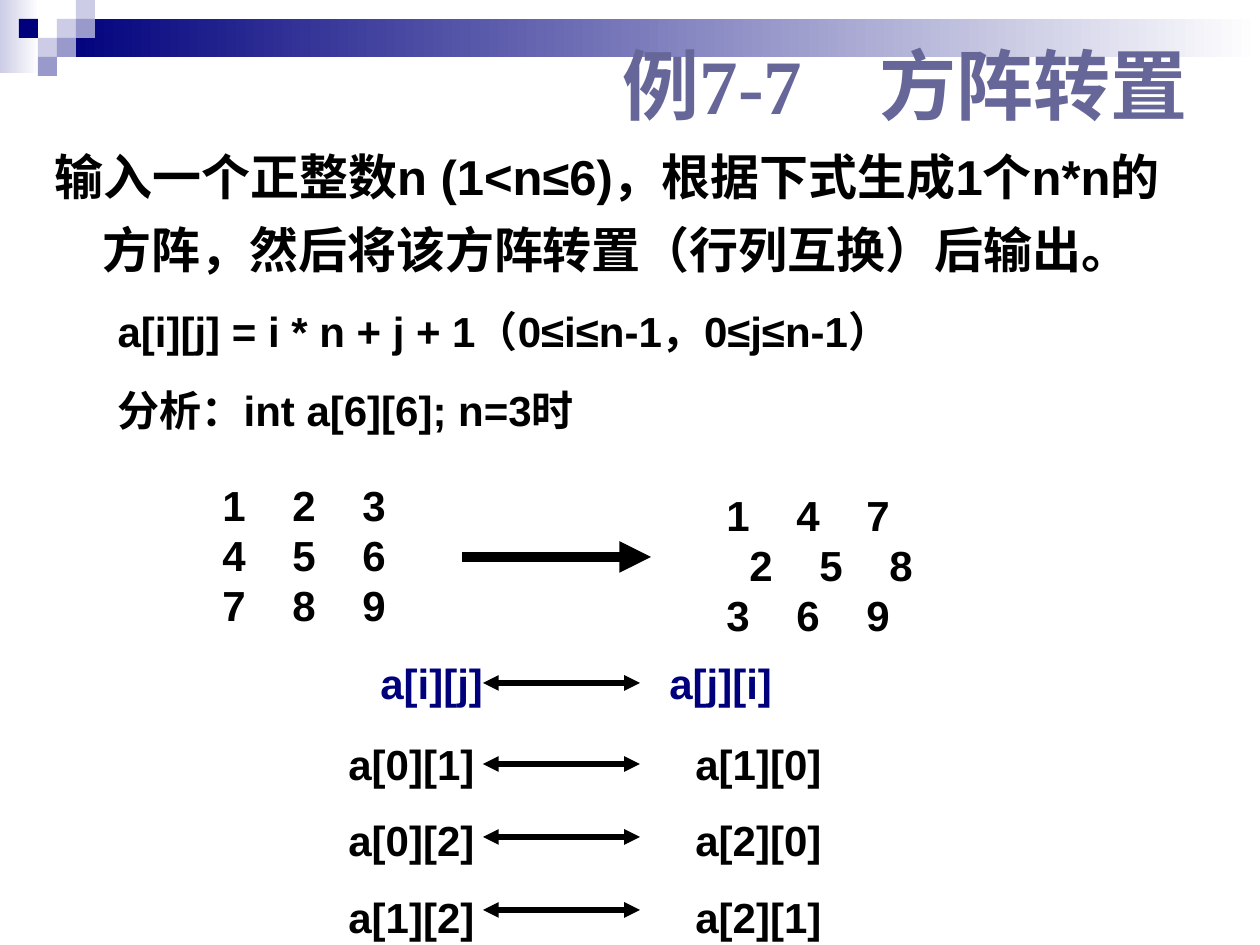
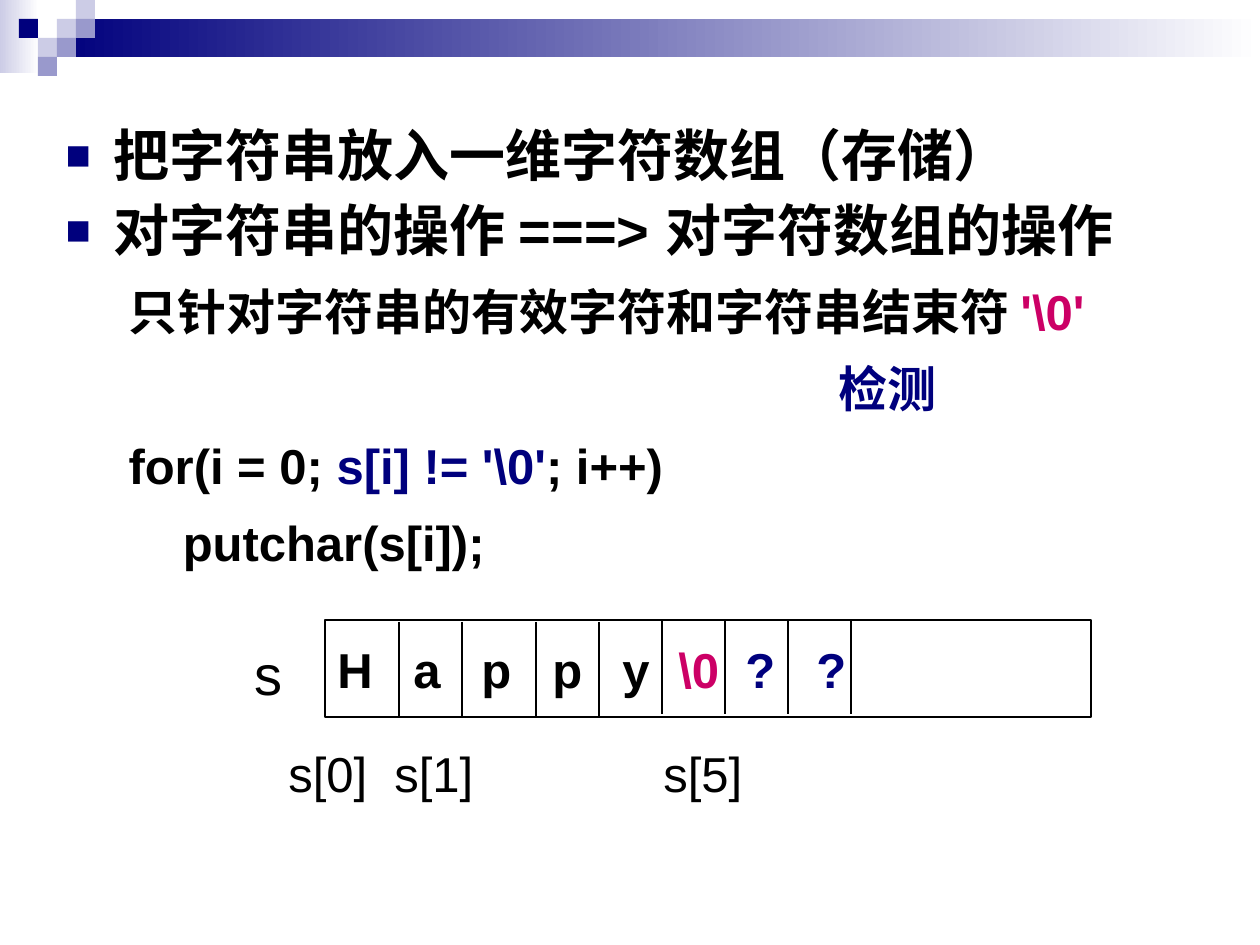
import pptx
import pptx.dml.color
import pptx.enum.shapes
import pptx.enum.text
import pptx.oxml
import pptx.oxml.ns
import pptx.util

RGBColor = pptx.dml.color.RGBColor
BLACK = RGBColor(0x00, 0x00, 0x00)
WHITE = RGBColor(0xFF, 0xFF, 0xFF)
NAVY = RGBColor(0x00, 0x00, 0x7D)
LAVENDER = RGBColor(0x99, 0x99, 0xCC)
PALE = RGBColor(0xCC, 0xCC, 0xE6)
SLATE = RGBColor(0x66, 0x66, 0x99)
MAGENTA = RGBColor(0xCC, 0x00, 0x66)

PX_PER_INCH = 126
SQUARE = 19
RECTANGLE = pptx.enum.shapes.MSO_SHAPE.RECTANGLE
LEVELS = [(48, -48), (102, -39)]


def px(length):
    return pptx.util.Emu(round(length * 914400 / PX_PER_INCH))


def place(shape, left, top, width, height):
    shape.left, shape.top = px(left), px(top)
    shape.width, shape.height = px(width), px(height)


def add_xml(parent, tag, **attributes):
    child = pptx.oxml.parse_xml(f"<a:{tag} {pptx.oxml.ns.nsdecls('a')}/>")
    for name, value in attributes.items():
        child.set(name, str(value))
    parent.append(child)
    return child


def add_rectangle(slide, left, top, width, height):
    rectangle = slide.shapes.add_shape(
        RECTANGLE, px(left), px(top), px(width), px(height))
    rectangle.shadow.inherit = False
    return rectangle


def add_band(slide, left, top, width, height, colour):
    """Add a bar that fades from colour on its left to white."""
    band = add_rectangle(slide, left, top, width, height)
    band.line.fill.background()
    band.fill.gradient()
    band.fill.gradient_angle = 0
    for stop, shade in zip(band.fill.gradient_stops, (colour, WHITE)):
        stop.color.rgb = shade
    return band


def add_square(slide, column, row, colour):
    square = add_rectangle(slide, column * SQUARE, row * SQUARE, SQUARE, SQUARE)
    square.fill.solid()
    square.fill.fore_color.rgb = colour
    square.line.fill.background()
    return square


def decorate_layout(layout, slide):
    """Draw the header on slide and move it behind the layout's placeholders."""
    header = [add_band(slide, 0, 0, 39, 73, PALE),
              add_band(slide, 57, 19, 1203, 38, NAVY)]
    squares = [(3, 1, PALE), (4, 0, PALE), (4, 1, LAVENDER), (2, 2, PALE),
               (1, 1, NAVY), (3, 2, LAVENDER), (2, 3, LAVENDER)]
    # The square at column 4 sits on the band's start, so squares come last.
    header += [add_square(slide, *square) for square in squares]
    for order, part in enumerate(header):
        part.element.xpath(".//p:cNvPr")[0].set("id", str(100 + order))
        layout.shapes.element.insert(2 + order, part.element)


def set_tabs(paragraph, stops):
    tab_list = add_xml(paragraph._p.get_or_add_pPr(), "tabLst")
    for stop in stops:
        add_xml(tab_list, "tab", pos=px(stop), algn="l")


def set_bullet(paragraph, colour=None):
    """Give a square bullet of that colour, or none."""
    properties = paragraph._p.get_or_add_pPr()
    if colour is None:
        add_xml(properties, "buNone")
        return
    add_xml(add_xml(properties, "buClr"), "srgbClr", val=colour)
    add_xml(properties, "buSzPct", val=75000)
    add_xml(properties, "buFont", typeface="Arial")
    add_xml(properties, "buChar", char="■")


def set_indent(paragraph, margin, first_line):
    properties = paragraph._p.get_or_add_pPr()
    properties.set("marL", str(px(margin)))
    properties.set("indent", str(px(first_line)))


def format_run(run, size, colour=BLACK, bold=True, font="Arial"):
    run.font.name = font
    run.font.size = pptx.util.Pt(size)
    run.font.bold = bold
    run.font.color.rgb = colour


def fill_paragraph(paragraph, parts, size, colour=BLACK, bold=True):
    """Write parts, each a string or a (string, colour) pair."""
    for part in [parts] if isinstance(parts, str) else parts:
        words, shade = (part, colour) if isinstance(part, str) else part
        run = paragraph.add_run()
        run.text = words
        format_run(run, size, shade, bold)


def paragraphs_for(frame, count):
    return [frame.paragraphs[0]] + [frame.add_paragraph() for _ in range(count - 1)]


def add_text(slide, box, rows, size=24, colour=BLACK, bold=True, gap=0):
    """Add a text box; each row is (parts, tab stops)."""
    frame = slide.shapes.add_textbox(*map(px, box)).text_frame
    frame.word_wrap = True
    paragraphs = paragraphs_for(frame, len(rows))
    for order, (paragraph, (parts, stops)) in enumerate(zip(paragraphs, rows)):
        set_tabs(paragraph, stops)
        paragraph.space_before = pptx.util.Pt(gap if order else 0)
        fill_paragraph(paragraph, parts, size, colour, bold)


def add_line(slide, start, end, weight, arrows=()):
    """Add a black line; arrows names the ends that carry a triangle."""
    line = slide.shapes.add_connector(
        pptx.enum.shapes.MSO_CONNECTOR.STRAIGHT, *map(px, (*start, *end)))
    line.line.color.rgb = BLACK
    line.line.width = pptx.util.Pt(weight)
    for arrow in arrows:
        add_xml(line.line._get_or_add_ln(), arrow, type="triangle")
    add_xml(line.element.spPr, "effectLst")


def fill_title(slide, text, box, tab):
    title = slide.shapes.title
    place(title, *box)
    frame = title.text_frame
    frame.auto_size = pptx.enum.text.MSO_AUTO_SIZE.NONE
    frame.vertical_anchor = pptx.enum.text.MSO_ANCHOR.MIDDLE
    frame.text = text
    paragraph = frame.paragraphs[0]
    set_tabs(paragraph, [tab])
    paragraph.alignment = pptx.enum.text.PP_ALIGN.LEFT
    for run in paragraph.runs:
        format_run(run, 44, SLATE, font="Times New Roman")


def fill_body(slide, box, items):
    """Write items of (parts, indent, size, line spacing, gap, bullet colour)."""
    body = slide.placeholders[1]
    place(body, *box)
    body.text_frame.auto_size = pptx.enum.text.MSO_AUTO_SIZE.NONE
    paragraphs = paragraphs_for(body.text_frame, len(items))
    for order, (paragraph, item) in enumerate(zip(paragraphs, items)):
        parts, indent, size, spacing, gap, bullet = item
        paragraph.level = 0 if indent == LEVELS[0] else 1
        set_indent(paragraph, *indent)
        set_bullet(paragraph, bullet)
        paragraph.line_spacing = spacing
        paragraph.space_before = pptx.util.Pt(gap if order else 0)
        fill_paragraph(paragraph, parts, size)


def build_transpose(slide):
    fill_title(slide, "例7-7\t方阵转置", (610, 26, 620, 116), 257)
    top, sub = LEVELS
    fill_body(slide, (42, 126, 1173, 316), [
        ("输入一个正整数n (1<n≤6)，根据下式生成1个n*n的方阵，"
         "然后将该方阵转置（行列互换）后输出。", top, 28, 1.24, 10.5, None),
        ("a[i][j] = i * n + j + 1（0≤i≤n-1，0≤j≤n-1）", sub, 24, 1.24, 9, None),
        ("分析：int a[6][6]; n=3时", sub, 24, 1.24, 9, None),
    ])

    columns = [70, 140]
    add_text(slide, (210, 473, 242, 164),
             [("1\t2\t3", columns), ("4\t5\t6", columns), ("7\t8\t9", columns)])
    add_line(slide, (462, 557), (651, 557), 6, ["tailEnd"])
    add_text(slide, (714, 483, 242, 164),
             [("1\t4\t7", columns), ("\t2\t5\t8", [23, 93, 163]),
              ("3\t6\t9", columns)])

    add_text(slide, (368, 651, 420, 63), [("a[i][j]\ta[j][i]", [289])], colour=NAVY)
    swaps = ["a[0][1]\ta[1][0]", "a[0][2]\ta[2][0]", "a[1][2]\ta[2][1]"]
    add_text(slide, (336, 732, 599, 215), [(swap, [347]) for swap in swaps], gap=15)
    for y in [683] + [764 + 73 * order for order in range(len(swaps))]:
        add_line(slide, (483, y), (640, y), 3, ["headEnd", "tailEnd"])


def build_string_storage(slide):
    title = slide.shapes.title.element
    title.getparent().remove(title)
    top, sub = LEVELS
    fill_body(slide, (53, 122, 1144, 467), [
        ("把字符串放入一维字符数组（存储）", top, 32, 0.9, 8, NAVY),
        ("对字符串的操作 ===> 对字符数组的操作", top, 32, 0.9, 8, NAVY),
        (["只针对字符串的有效字符和字符串结束符 ", ("'\\0'", MAGENTA)],
         sub, 28, 1.1, 7, None),
        ([("检测", NAVY)], (773, 0), 28, 1.1, 7, None),
        (["for(i = 0; ", ("s[i] != '\\0'", NAVY), "; i++)"], sub, 28, 1.1, 7, None),
        ("    putchar(s[i]);", sub, 28, 1.1, 7, None),
    ])

    array = add_rectangle(slide, 325, 620, 766, 97)
    array.fill.background()
    array.line.color.rgb = BLACK
    array.line.width = pptx.util.Pt(1)
    for x in [399, 462, 536, 599]:
        add_line(slide, (x, 622), (x, 717), 1)
    for x in range(662, 852, 63):
        add_line(slide, (x, 620), (x, 714), 1)

    add_text(slide, (242, 633, 73, 79), [("s", [])], size=32, bold=False)
    characters = ["H\ta\tp\tp\ty\t", ("\\0\t", MAGENTA), ("?\t?", NAVY)]
    add_text(slide, (325, 633, 620, 71),
             [(characters, [76, 144, 215, 285, 341, 408, 479])], size=28)
    add_text(slide, (276, 737, 494, 71),
             [("s[0]\ts[1]\ts[5]", [106, 375])], size=28, bold=False)


def main():
    presentation = pptx.Presentation()
    presentation.slide_width = px(1260)
    presentation.slide_height = px(945)
    layout = presentation.slide_layouts[1]
    transpose = presentation.slides.add_slide(layout)
    storage = presentation.slides.add_slide(layout)
    decorate_layout(layout, transpose)
    build_transpose(transpose)
    build_string_storage(storage)
    presentation.save("out.pptx")


if __name__ == "__main__":
    main()
